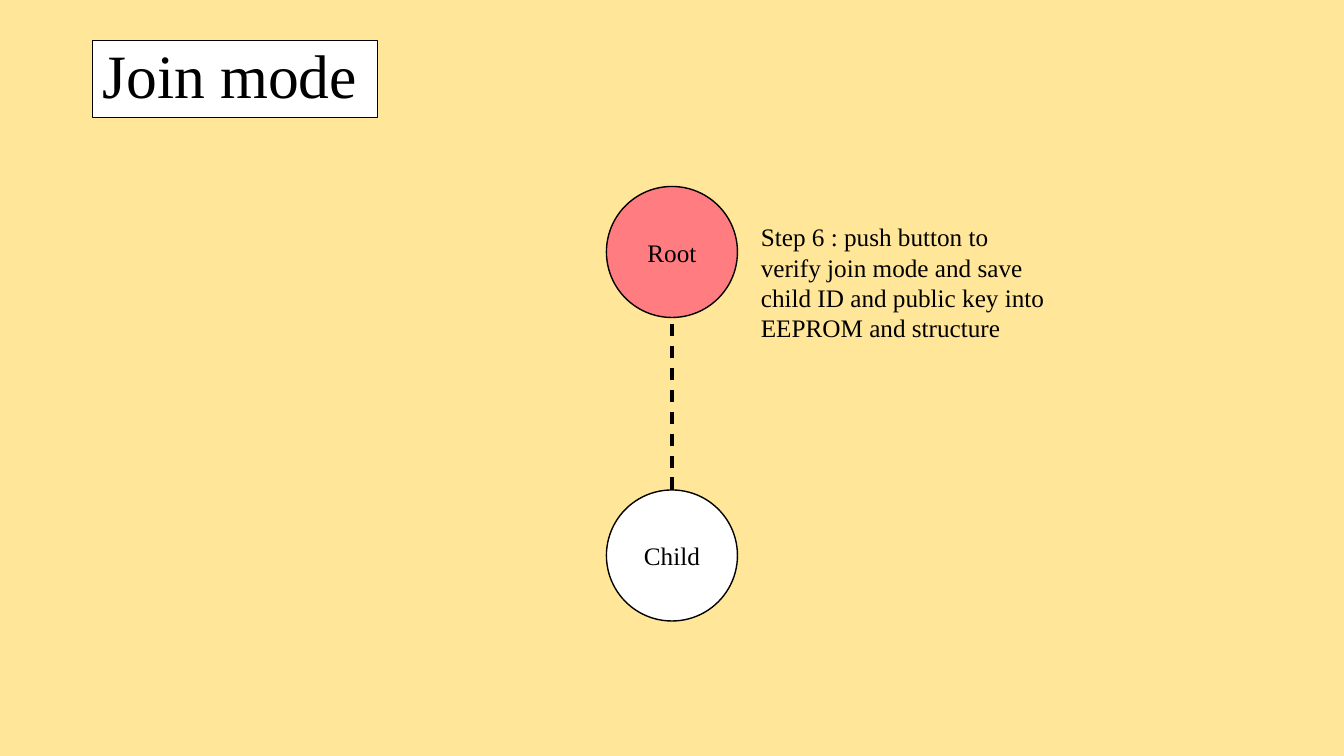
"""Build the join mode slide: a root node linked to its child."""
from lxml import etree
from pptx import Presentation
from pptx.dml.color import RGBColor
from pptx.enum.dml import MSO_LINE
from pptx.enum.shapes import MSO_CONNECTOR, MSO_SHAPE
from pptx.enum.text import MSO_ANCHOR, PP_ALIGN
from pptx.oxml.ns import qn
from pptx.util import Pt

OVAL, RECT = MSO_SHAPE.OVAL, MSO_SHAPE.RECTANGLE
LINE, DASH = MSO_CONNECTOR.STRAIGHT, MSO_LINE.DASH
LEFT, MID = PP_ALIGN.LEFT, PP_ALIGN.CENTER
TOP, CORE = MSO_ANCHOR.TOP, MSO_ANCHOR.MIDDLE
COLORS = {"back": "FFE699", "root": "FF7C80", "plain": "FFFFFF", "ink": "000000"}
FONT = "Times New Roman"
NODE = 93.6


def color(name):
    return RGBColor.from_string(COLORS[name])


def apply(part, values):
    for name, value in values.items():
        setattr(part, name, value)


def write(shape, text, size, align, anchor, space=1.0):
    frame = shape.text_frame
    apply(frame, {"word_wrap": True, "vertical_anchor": anchor})
    para = frame.paragraphs[0]
    apply(para, {"alignment": align, "line_spacing": space})
    run = para.add_run()
    run.text = text
    apply(run.font, {"name": FONT, "size": Pt(size)})
    run.font.color.rgb = color("ink")


def ink(line, width):
    line.color.rgb = color("ink")
    line.width = Pt(width)


def panel(slide, kind, box, fill, width):
    shape = slide.shapes.add_shape(kind, *map(Pt, box))
    shape.shadow.inherit = False
    shape.fill.solid()
    shape.fill.fore_color.rgb = color(fill)
    ink(shape.line, width)
    return shape


def title(slide, box):
    shape = panel(slide, RECT, box, "plain", 0.75)
    write(shape, "Join mode", 44, LEFT, CORE, 0.9)


def tree(slide, box):
    left, top, width, height = box
    base = top + height - NODE
    for text, fill, y in (("Root", "root", top), ("Child", "plain", base)):
        node = panel(slide, OVAL, (left, y, width, NODE), fill, 1)
        write(node, text, 18, MID, CORE)
    mid = left + width / 2
    ends = map(Pt, (mid, base, mid, top + NODE))
    link = slide.shapes.add_connector(LINE, *ends)
    ink(link.line, 2.25)
    link.line.dash_style = DASH
    etree.SubElement(link._element.spPr, qn("a:effectLst"))


def note(slide, box):
    shape = slide.shapes.add_textbox(*map(Pt, box))
    text = ("Step 6 : push button to verify join mode and save "
            "child ID and public key into EEPROM and structure")
    write(shape, text, 18, LEFT, TOP)


def main():
    deck = Presentation()
    apply(deck, {"slide_width": Pt(960), "slide_height": Pt(540)})
    slide = deck.slides.add_slide(deck.slide_layouts[6])
    slide.background.fill.solid()
    slide.background.fill.fore_color.rgb = color("back")
    tree(slide, (433.2, 133.2, NODE, 310.4))
    note(slide, (536.4, 154.8, 220.4, 94.4))
    title(slide, (66, 28.8, 204, 55.2))
    deck.save("out.pptx")


main()
